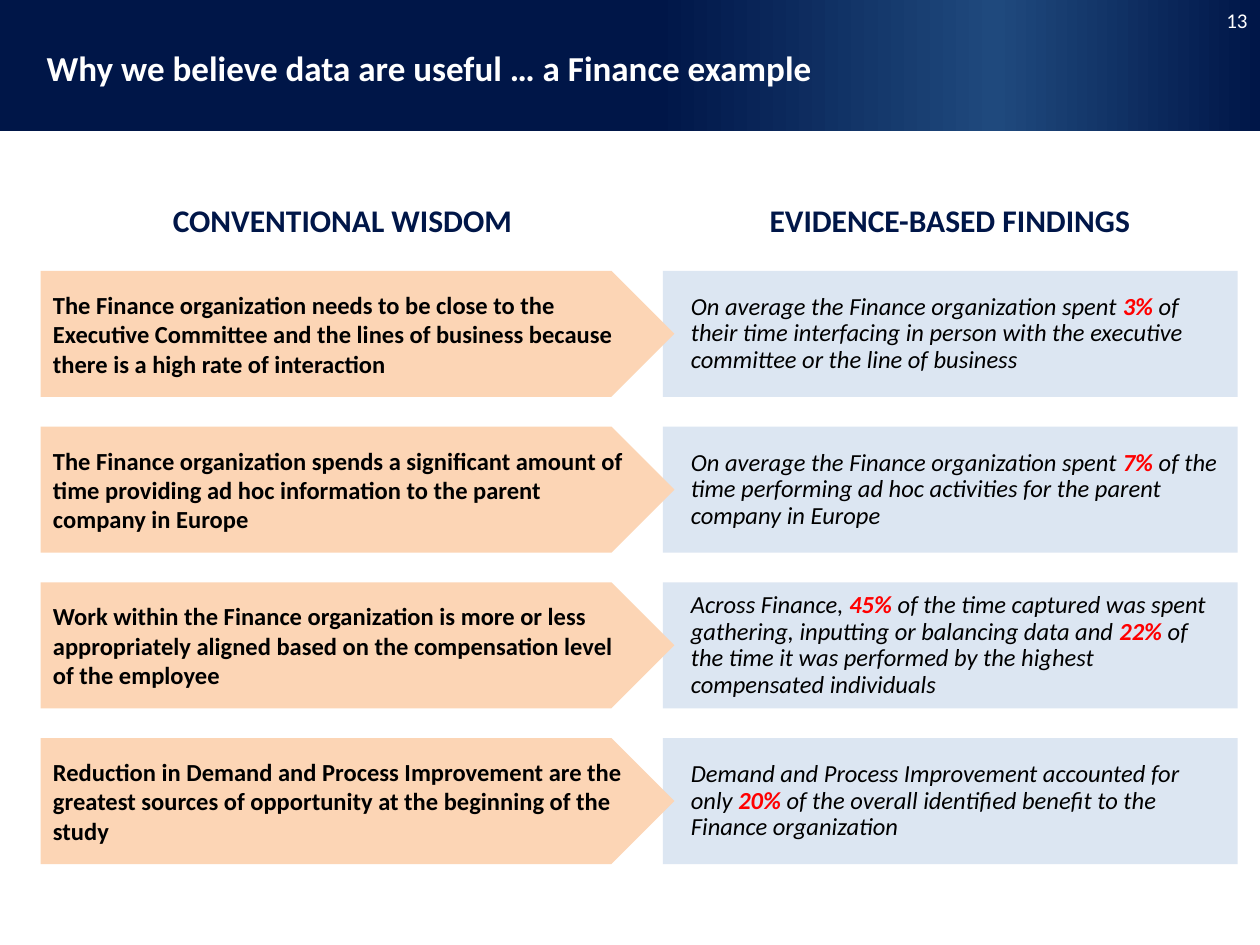
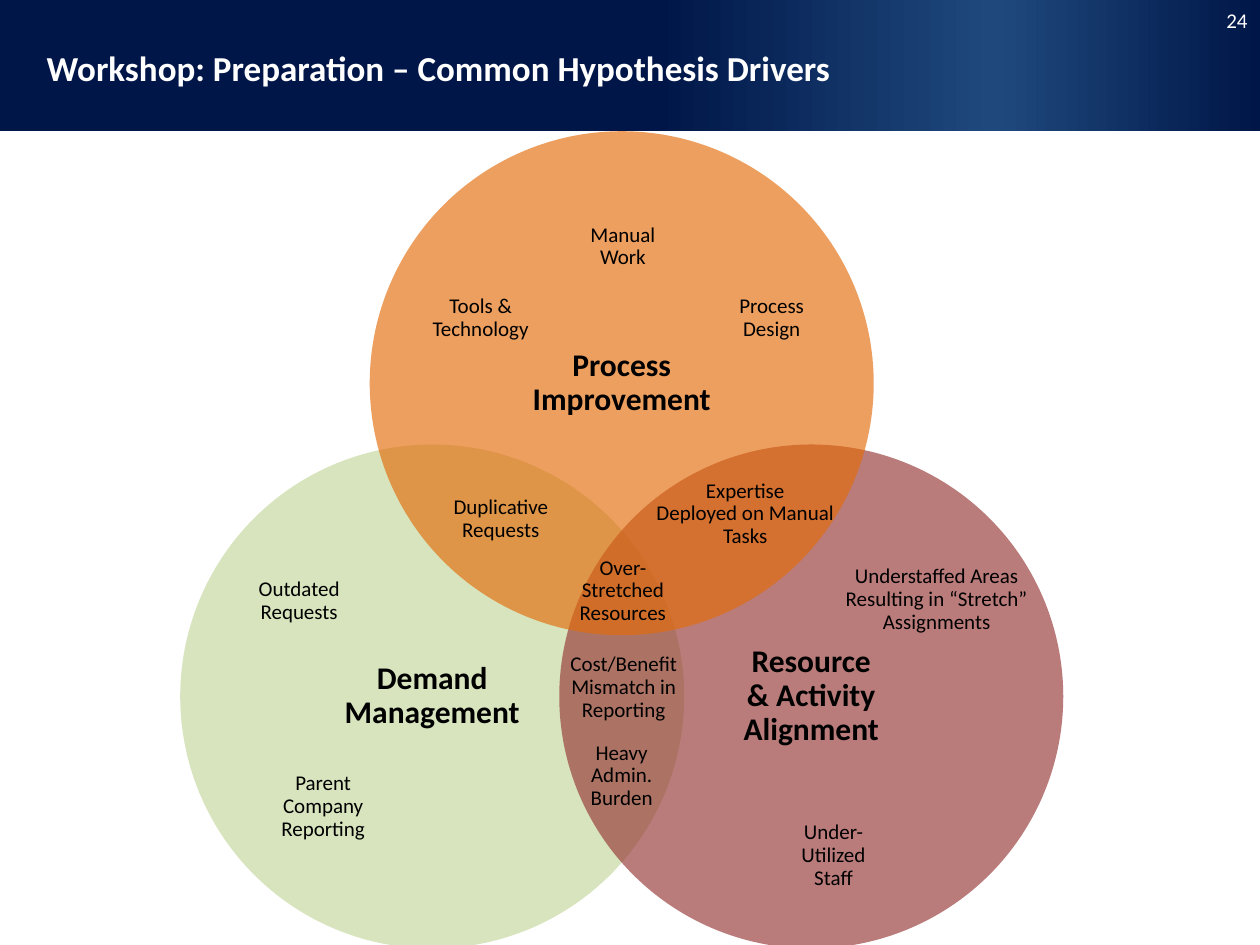
from copy import deepcopy
from dataclasses import dataclass

from pptx import Presentation
from pptx.dml.color import RGBColor
from pptx.enum import shapes, text
from pptx.oxml import ns, xmlchemy
from pptx.util import Pt


@dataclass(frozen=True)
class Theme:
    font: str = "Calibri"
    navy: str = "001648"
    glow: str = "1F497D"
    white: str = "FFFFFF"
    black: str = "000000"
    highlight: str = "FF0000"
    wisdom: str = "FCD5B5"
    finding: str = "DCE6F2"
    demand: str = "C3D69B"
    resource: str = "953735"
    process: str = "E46C0A"
    title_size: int = 20
    heading_size: int = 18
    body_size: int = 14
    label_size: int = 12


THEME = Theme()
TITLE_ONLY = 5
SLIDE_WIDTH, SLIDE_HEIGHT, BAND_HEIGHT = 720, 540, 75
CENTER, LEFT, RIGHT = text.PP_ALIGN.CENTER, text.PP_ALIGN.LEFT, text.PP_ALIGN.RIGHT

# Each finding alternates plain and highlighted runs.
COMPARISONS = [
    ("The Finance organization needs to be close to the Executive Committee and the "
     "lines of business because there is a high rate of interaction",
     ["On average the Finance organization spent ", "3%",
      " of their time interfacing in person with the executive committee or the line of business"]),
    ("The Finance organization spends a significant amount of time providing ad hoc "
     "information to the parent company in Europe",
     ["On average the Finance organization spent ", "7%",
      " of the time performing ad hoc activities for the parent company in Europe"]),
    ("Work within the Finance organization is more or less appropriately aligned based "
     "on the compensation level of the employee",
     ["Across Finance, ", "45%",
      " of the time captured was spent gathering, inputting or balancing data and ", "22%",
      " of the time it was performed by the highest compensated individuals"]),
    ("Reduction in Demand and Process Improvement are the greatest sources of "
     "opportunity at the beginning of the study",
     ["Demand and Process Improvement accounted for only ", "20%",
      " of the overall identified benefit to the Finance organization"]),
]

# Centre x, centre y, paragraphs; wrapped inside the label.
WRAPPED_DRIVERS = [
    (441, 182, "Process Design"),
    (274.7, 182, "Tools & Technology"),
    (476.3, 489, "Under-Utilized Staff"),
    (184.7, 461, "Parent Company Reporting"),
    (171, 343.5, "Outdated Requests"),
    (356, 141, "Manual Work"),
    (356, 337.7, "Over-Stretched Resources"),
]
# The same, with line ends set by hand.
BROKEN_DRIVERS = [
    (286.2, 296.7, ["Duplicative", "Requests"]),
    (425.9, 293.8, ["Expertise", "Deployed on Manual", "Tasks"]),
    (355.3, 443.5, ["Heavy\nAdmin.\nBurden"]),
    (535.3, 342.7, ["Understaffed Areas\nResulting in “Stretch”", "Assignments"]),
]


def rgb(color):
    return RGBColor.from_string(color)


def add_run(paragraph, words, size, color=THEME.black, bold=False, italic=False):
    """Add words as runs, with a line break at each newline."""
    for index, line in enumerate(words.split("\n")):
        if index:
            paragraph.add_line_break()
        run = paragraph.add_run()
        run.text = line
        font = run.font
        font.name, font.size, font.color.rgb = THEME.font, Pt(size), rgb(color)
        font.bold, font.italic = bold, italic


def prepare_frame(shape, wrap=True):
    frame = shape.text_frame
    frame.auto_size = text.MSO_AUTO_SIZE.NONE
    frame.vertical_anchor = text.MSO_ANCHOR.MIDDLE
    frame.word_wrap = wrap
    return frame


def write(shape, paragraphs, size, align=CENTER, spacing=0.9, wrap=True, **style):
    frame = prepare_frame(shape, wrap)
    for index, words in enumerate(paragraphs):
        paragraph = frame.add_paragraph() if index else frame.paragraphs[0]
        paragraph.alignment, paragraph.line_spacing = align, spacing
        add_run(paragraph, words, size, **style)


def add_figure(slide, preset, left, top, width, height, color=None):
    figure = slide.shapes.add_shape(preset, Pt(left), Pt(top), Pt(width), Pt(height))
    figure.shadow.inherit = False
    figure.line.fill.background()
    if color:
        figure.fill.solid()
        figure.fill.fore_color.rgb = rgb(color)
    else:
        figure.fill.background()
    return figure


def add_caption(slide, words, left, top, width, height, size, **style):
    box = slide.shapes.add_textbox(Pt(left), Pt(top), Pt(width), Pt(height))
    write(box, [words], size, **style)


def add_band(slide):
    """Put the gradient title band behind everything on the slide."""
    band = add_figure(slide, shapes.MSO_SHAPE.RECTANGLE, 0, 0, SLIDE_WIDTH, BAND_HEIGHT)
    band.fill.gradient()
    band.fill.gradient_angle = 0
    stop_list = band.element.find(".//" + ns.qn("a:gsLst"))
    stop_list.extend([deepcopy(stop) for stop in stop_list])
    colors = [THEME.navy, THEME.navy, THEME.glow, THEME.navy]
    for stop, position, color in zip(band.fill.gradient_stops, (0, 0.52, 0.79, 1), colors):
        stop.position, stop.color.rgb = position, rgb(color)
    slide.shapes.element.insert(2, band.element)


def add_titled_slide(deck, title, number):
    slide = deck.slides.add_slide(deck.slide_layouts[TITLE_ONLY])
    heading = slide.shapes.title
    heading.left, heading.top, heading.width, heading.height = map(Pt, (19.5, 15, 681, 50))
    write(heading, [title], THEME.title_size, LEFT, color=THEME.white, bold=True)
    add_band(slide)
    add_caption(slide, str(number), 691, 1, 29, 21.5, THEME.label_size,
                align=RIGHT, spacing=1, color=THEME.white)
    return slide


def add_finding(slide, top, height, runs):
    panel = add_figure(slide, shapes.MSO_SHAPE.RECTANGLE, 378.8, top, 328.4, height, THEME.finding)
    frame = prepare_frame(panel)
    frame.margin_left = Pt(16)
    frame.margin_right = frame.margin_top = frame.margin_bottom = Pt(7.2)
    paragraph = frame.paragraphs[0]
    paragraph.alignment, paragraph.line_spacing = LEFT, 0.9
    paragraph.space_before = paragraph.space_after = Pt(3)
    for index, words in enumerate(runs):
        key = index % 2 == 1
        add_run(paragraph, words, THEME.body_size,
                THEME.highlight if key else THEME.black, bold=key, italic=True)


def add_wisdom(slide, top, height, words):
    arrow = add_figure(slide, shapes.MSO_SHAPE.PENTAGON, 23.2, top, 362.2, height, THEME.wisdom)
    write(arrow, [words], THEME.body_size, LEFT, spacing=1, bold=True)


def add_driver_circle(slide, left, top, color, paragraphs):
    circle = add_figure(slide, shapes.MSO_SHAPE.OVAL, left, top, 288, 288, color)
    fill_color = circle.element.spPr.find(".//" + ns.qn("a:srgbClr"))
    alpha = xmlchemy.OxmlElement("a:alpha")
    alpha.set("val", "65000")
    fill_color.append(alpha)
    write(circle, paragraphs, THEME.heading_size, bold=True)


def add_driver(slide, center_x, center_y, paragraphs, width=100, wrap=True):
    height = 50.4 if wrap else 63.4
    label = add_figure(slide, shapes.MSO_SHAPE.OVAL,
                       center_x - width / 2, center_y - height / 2, width, height)
    write(label, paragraphs, THEME.label_size, wrap=wrap)


def build_comparison(deck):
    slide = add_titled_slide(deck, "Why we believe data are useful … a Finance example", 13)
    for words, left, width in (("CONVENTIONAL WISDOM", 90.7, 210),
                               ("EVIDENCE-BASED FINDINGS", 431.3, 223)):
        add_caption(slide, words, left, 113.5, width, 27, THEME.heading_size,
                    wrap=False, color=THEME.navy, bold=True)
    first_top, pitch, height = 154.8, 89, 72
    for row, (wisdom, finding) in enumerate(COMPARISONS):
        top = first_top + row * pitch
        add_finding(slide, top, height, finding)
        add_wisdom(slide, top, height, wisdom)


def build_drivers(deck):
    slide = add_titled_slide(deck, "Workshop: Preparation – Common Hypothesis Drivers", 24)
    apex_left, offset, base_top = 211.3, 108.3, 254
    add_driver_circle(slide, apex_left - offset, base_top, THEME.demand, ["Demand\nManagement"])
    add_driver_circle(slide, apex_left + offset, base_top, THEME.resource,
                      ["Resource\n& Activity", "Alignment"])
    add_driver_circle(slide, apex_left, BAND_HEIGHT, THEME.process, ["Process\nImprovement"])
    for center_x, center_y, words in WRAPPED_DRIVERS:
        add_driver(slide, center_x, center_y, [words])
    add_driver(slide, 356.4, 393, ["Cost/Benefit Mismatch in Reporting"], width=121)
    for center_x, center_y, paragraphs in BROKEN_DRIVERS:
        add_driver(slide, center_x, center_y, paragraphs, wrap=False)


def main():
    deck = Presentation()
    deck.slide_width, deck.slide_height = Pt(SLIDE_WIDTH), Pt(SLIDE_HEIGHT)
    build_comparison(deck)
    build_drivers(deck)
    deck.save("out.pptx")


if __name__ == "__main__":
    main()
